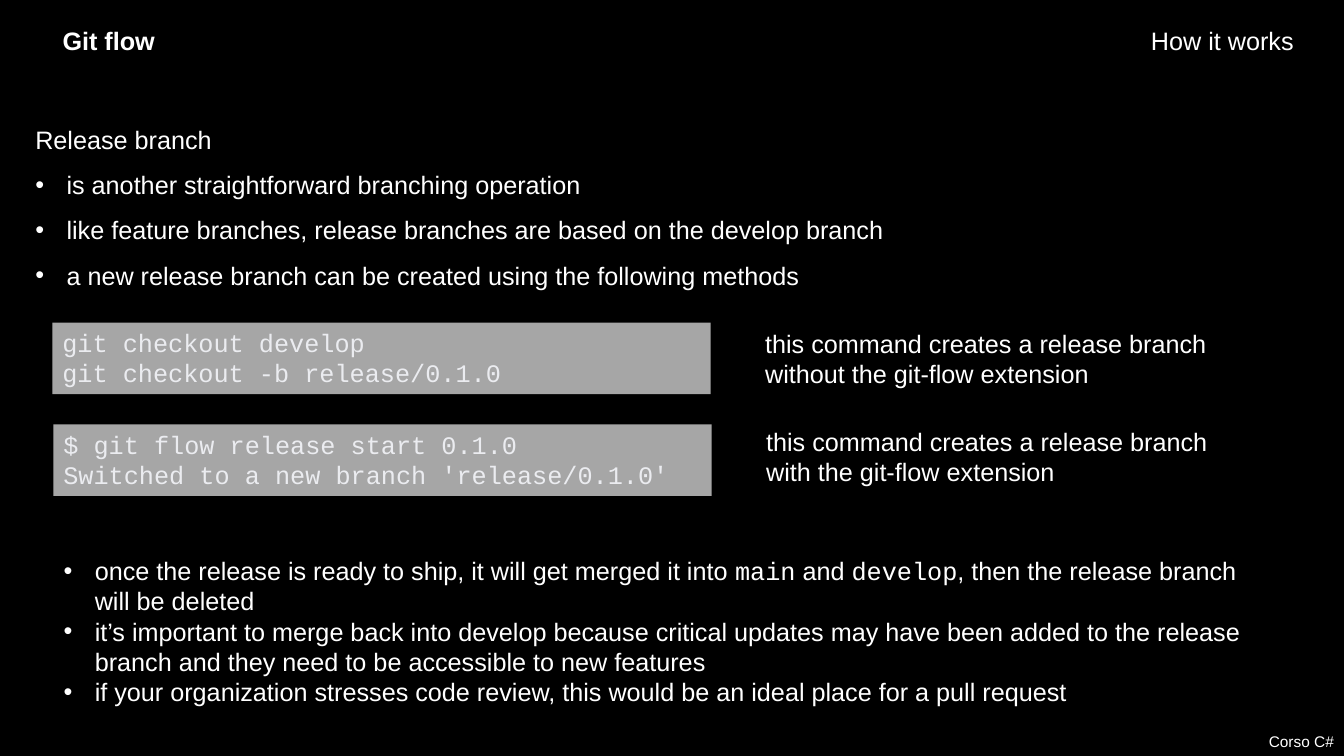
"""Build the Git flow slide about release branches."""
from lxml import etree
from pptx import Presentation
from pptx.dml.color import RGBColor
from pptx.enum import shapes, text
from pptx.oxml import ns
from pptx.util import Inches, Pt

COLORS = {"page": "000000", "text": "FFFFFF", "panel": "A6A6A6", "code": "EBECF0"}
BODY_FONT, CODE_FONT = "Arial", "Courier New"
LEFT, RIGHT = text.PP_ALIGN.LEFT, text.PP_ALIGN.RIGHT


def place(item, left, top, width, height):
    """Move and size a shape, in inches."""
    item.left, item.top = Inches(left), Inches(top)
    item.width, item.height = Inches(width), Inches(height)
    return item


def write(item, lines, align=LEFT, spacing=1.0, color="text", size=18,
          bold=False, wrap=True, fonts=(BODY_FONT, CODE_FONT)):
    """Fill a shape: a leading • makes a bullet, backticks mark the second font."""
    frame = item.text_frame
    frame.word_wrap = wrap
    frame.auto_size = text.MSO_AUTO_SIZE.SHAPE_TO_FIT_TEXT
    frame.vertical_anchor = text.MSO_ANCHOR.TOP
    for index, line in enumerate(lines):
        para = frame.add_paragraph() if index else frame.paragraphs[0]
        layout = {"alignment": align, "line_spacing": spacing, "space_before": Pt(0)}
        for name, value in layout.items():
            setattr(para, name, value)
        bulleted = line.startswith("•")
        indent = Inches(0.31) if bulleted else 0
        properties = para._p.get_or_add_pPr()
        properties.set("marL", str(indent))
        properties.set("indent", str(-indent))
        if bulleted:
            font = etree.SubElement(properties, ns.qn("a:buFont"))
            font.set("typeface", BODY_FONT)
            etree.SubElement(properties, ns.qn("a:buChar")).set("char", "•")
        else:
            etree.SubElement(properties, ns.qn("a:buNone"))
        for part, words in enumerate(line.removeprefix("•").split("`")):
            span = para.add_run()
            span.text = words
            style = {"name": fonts[part % 2], "size": Pt(size), "bold": bold}
            for name, value in style.items():
                setattr(span.font, name, value)
            span.font.color.rgb = RGBColor.from_string(COLORS[color])


deck = Presentation()
deck.slide_width, deck.slide_height = Inches(13.33), Inches(7.5)
page = deck.slides.add_slide(deck.slide_layouts[3])
page.background.fill.solid()
page.background.fill.fore_color.rgb = RGBColor.from_string(COLORS["page"])
title, intro, closing = page.placeholders

write(place(title, 0.52, 0.2, 1.13, 0.4), ["Git flow"], bold=True, wrap=False)
write(place(intro, 0.25, 1.03, 12.68, 1.88), [
    "Release branch",
    "•is another straightforward branching operation",
    "•like feature branches, release branches are based on the develop branch",
    "•a new release branch can be created using the following methods",
], spacing=1.5)
write(place(closing, 0.53, 5.46, 11.94, 1.62), [
    "•once the release is ready to ship, it will get merged it into `main` and "
    "`develop`, then the release branch will be deleted",
    "•it’s important to merge back into develop because critical updates may have been "
    "added to the release branch and they need to be accessible to new features",
    "•if your organization stresses code review, this would be an ideal place for a "
    "pull request",
])

labels = [
    ("Corso C#", (0, 7.21, 13.33, 0.29), {"size": 11, "align": RIGHT}),
    ("How it works", (9.56, 0.2, 3.37, 0.4), {"align": RIGHT}),
    ("this command creates a release branch without the git-flow extension",
     (7.49, 3.21, 4.97, 0.71), {}),
    ("this command creates a release branch with the git-flow extension",
     (7.5, 4.18, 4.97, 0.71), {}),
]
for words, bounds, style in labels:
    box = page.shapes.add_textbox(0, 0, 0, 0)
    write(place(box, *bounds), [words], **style)

commands = [
    (0.52, 3.2, ["git checkout develop", "git checkout -b release/0.1.0"]),
    (0.53, 4.21, ["$ git flow release start 0.1.0",
                  "Switched to a new branch 'release/0.1.0'"]),
]
for left, top, lines in commands:
    panel = page.shapes.add_shape(shapes.MSO_SHAPE.RECTANGLE, 0, 0, 0, 0)
    place(panel, left, top, 6.53, 0.71)
    panel.shadow.inherit = False
    panel.fill.solid()
    panel.fill.fore_color.rgb = RGBColor.from_string(COLORS["panel"])
    panel.line.fill.background()
    write(panel, lines, color="code", fonts=(CODE_FONT, CODE_FONT))

deck.save("out.pptx")
